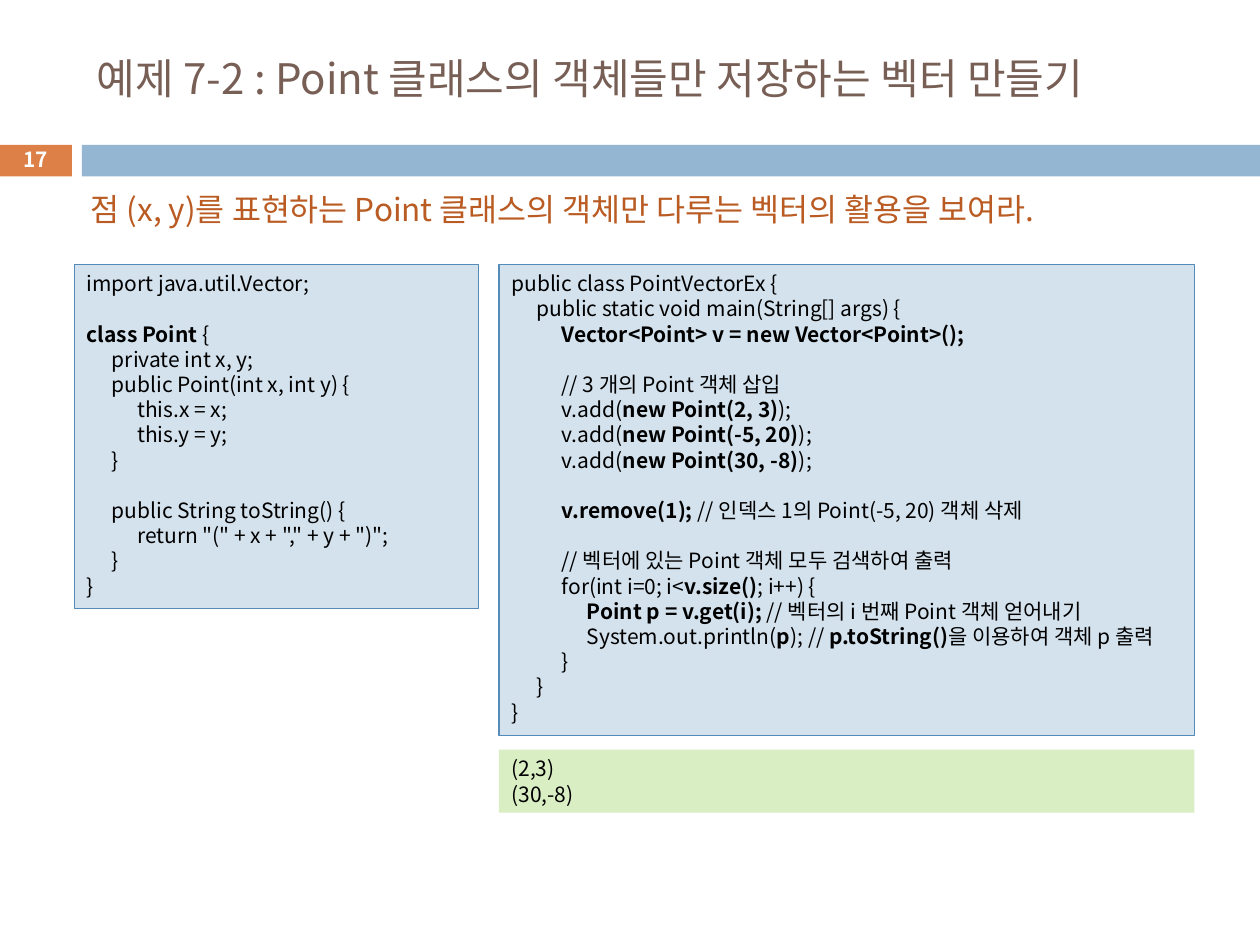
from lxml import etree
from pptx import Presentation
from pptx import util as u
from pptx.dml import color
from pptx.enum import shapes, text
from pptx.oxml import ns

POINT = """import java.util.Vector;

**class Point **{
\tprivate int x, y;
\tpublic Point(int x, int y) {
\t\tthis.x = x;
\t\tthis.y = y;
\t}

\tpublic String toString() {
\t\treturn "(" + x + "," + y + ")";
\t}
}"""

MAIN = """public class PointVectorEx {
\tpublic static void main(String[] args) {
\t\t**Vector<Point> v = new Vector<Point>();**

\t\t// 3 개의 Point 객체 삽입
\t\tv.add(**new Point(2, 3)**);
\t\tv.add(**new Point(-5, 20)**);
\t\tv.add(**new Point(30, -8)**);

\t\t**v.remove(1); **// 인덱스 1의 Point(-5, 20) 객체 삭제

\t\t// 벡터에 있는 Point 객체 모두 검색하여 출력
\t\tfor(int i=0; i<**v.size()**; i++) {
\t\t\t**Point p = v.get(i);** // 벡터의 i 번째 Point 객체 얻어내기
\t\t\tSystem.out.println(**p**); // **p.toString()**을 이용하여 객체 p 출력
\t\t}
\t}
}"""


def rgb(code):
    return color.RGBColor.from_string(code)


class Deck:
    font = "Noto Sans CJK KR"
    code = 12
    pitch = u.Pt(14.4)
    step = 0.2
    pale, edge, green = "D4E2ED", "558BB8", "DAEEC4"

    def __init__(self, slide):
        self.slide = slide

    def run(self, para, words, size, tint, bold=False):
        run = para.add_run()
        run.text = words
        font = run.font
        font.size, font.bold, font.name = u.Pt(size), bold, self.font
        font.color.rgb = rgb(tint)
        east = etree.SubElement(run._r.get_or_add_rPr(), ns.qn("a:ea"))
        east.set("typeface", self.font)

    def box(self, area, fill, line=None):
        box = self.slide.shapes.add_shape(
            shapes.MSO_SHAPE.RECTANGLE, *map(u.Inches, area))
        box.shadow.inherit = False
        box.fill.solid()
        box.fill.fore_color.rgb = rgb(fill)
        if line:
            box.line.color.rgb = rgb(line)
            box.line.width = u.Pt(0.75)
        else:
            box.line.fill.background()
        return box

    def label(self, area, words, size, tint, bold=False, wrap=True,
              align=text.PP_ALIGN.LEFT, anchor=text.MSO_ANCHOR.MIDDLE):
        frame = self.slide.shapes.add_textbox(*map(u.Inches, area)).text_frame
        frame.word_wrap = wrap
        frame.vertical_anchor = anchor
        para = frame.paragraphs[0]
        para.alignment = align
        self.run(para, words, size, tint, bold)

    def listing(self, area, source, fill, line=None):
        """Draw code: tabs set the indent, ** toggles bold, an empty line is a gap."""
        frame = self.box(area, fill, line).text_frame
        frame.word_wrap = True
        frame.vertical_anchor = text.MSO_ANCHOR.TOP
        para, gap = None, 0
        for row in source.split("\n"):
            if not row:
                gap = self.pitch
                continue
            para = frame.add_paragraph() if para else frame.paragraphs[0]
            para.alignment = text.PP_ALIGN.LEFT
            para.line_spacing, para.space_before = self.pitch, gap
            gap = 0
            words = row.lstrip("\t")
            depth = len(row) - len(words)
            props = para._p.get_or_add_pPr()
            props.set("marL", str(u.Inches(self.step * depth)))
            props.set("indent", "0")
            for i, part in enumerate(words.split("**")):
                if part:
                    self.run(para, part, self.code, "000000", i % 2 == 1)


def main():
    show = Presentation()
    show.slide_width, show.slide_height = u.Inches(10), u.Inches(7.5)
    deck = Deck(show.slides.add_slide(show.slide_layouts[6]))

    deck.box((-0.01, 1.15, 0.58, 0.25), "DD8047")
    deck.box((0.65, 1.15, 9.35, 0.25), "94B6D2")
    deck.label((0.67, 0.25, 8.92, 0.74),
               "예제 7-2 : Point 클래스의 객체들만 저장하는 벡터 만들기", 24, "775F55")
    deck.label((-0.01, 1.13, 0.58, 0.27), "17", 11.9, "FFFFFF", bold=True,
               align=text.PP_ALIGN.CENTER)
    deck.label((0.62, 1.46, 8.49, 0.4),
               "점 (x, y)를 표현하는 Point 클래스의 객체만 다루는 벡터의 활용을 보여라.",
               18, "B95B22", wrap=False)

    top, left, wide = 2.1, 3.96, 5.52
    deck.listing((0.59, top, 3.21, 2.73), POINT, deck.pale, deck.edge)
    deck.listing((left, 5.95, wide, 0.5), "(2,3)\n(30,-8)", deck.green)
    deck.listing((left, top, wide, 3.74), MAIN, deck.pale, deck.edge)

    show.save("out.pptx")


if __name__ == "__main__":
    main()
